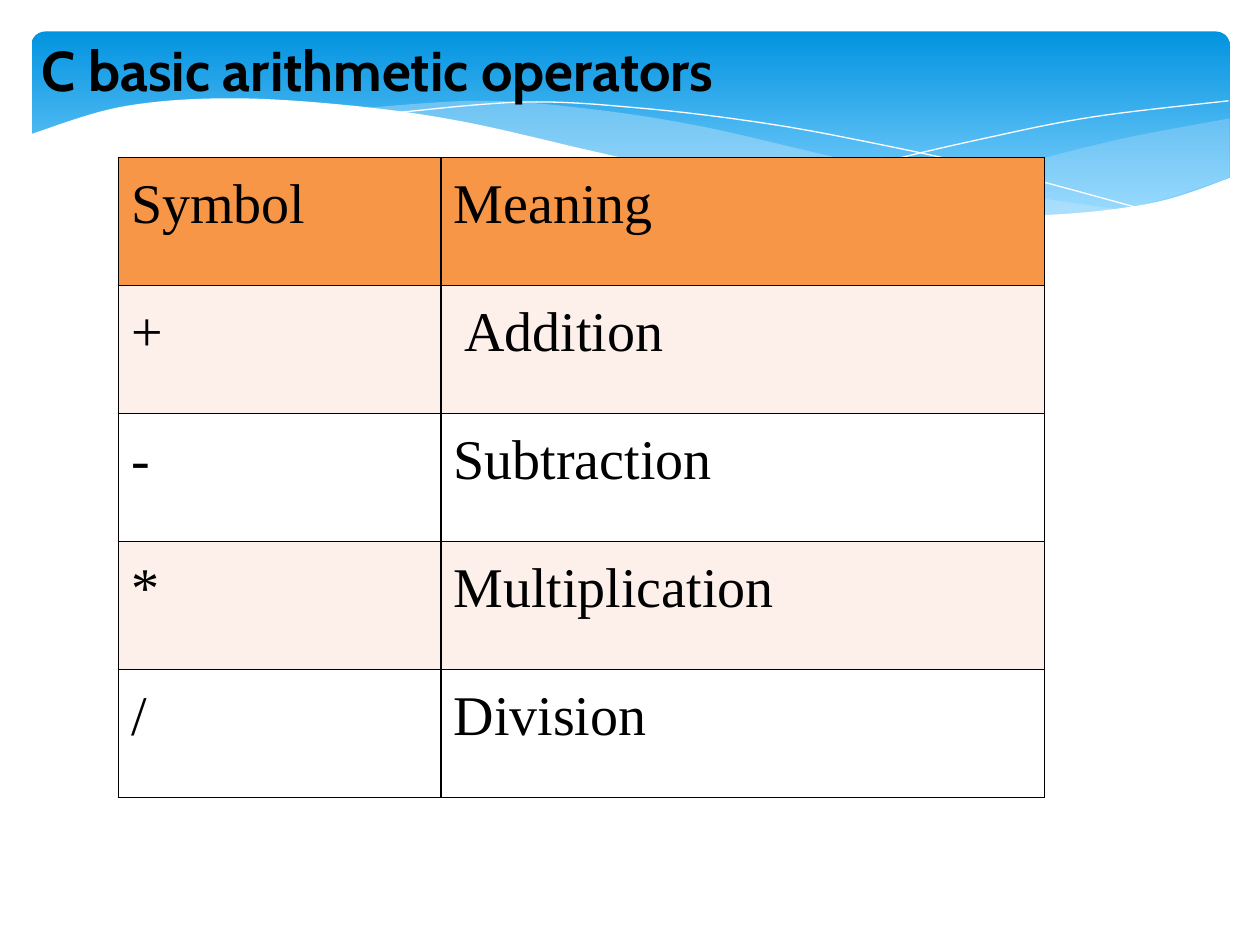
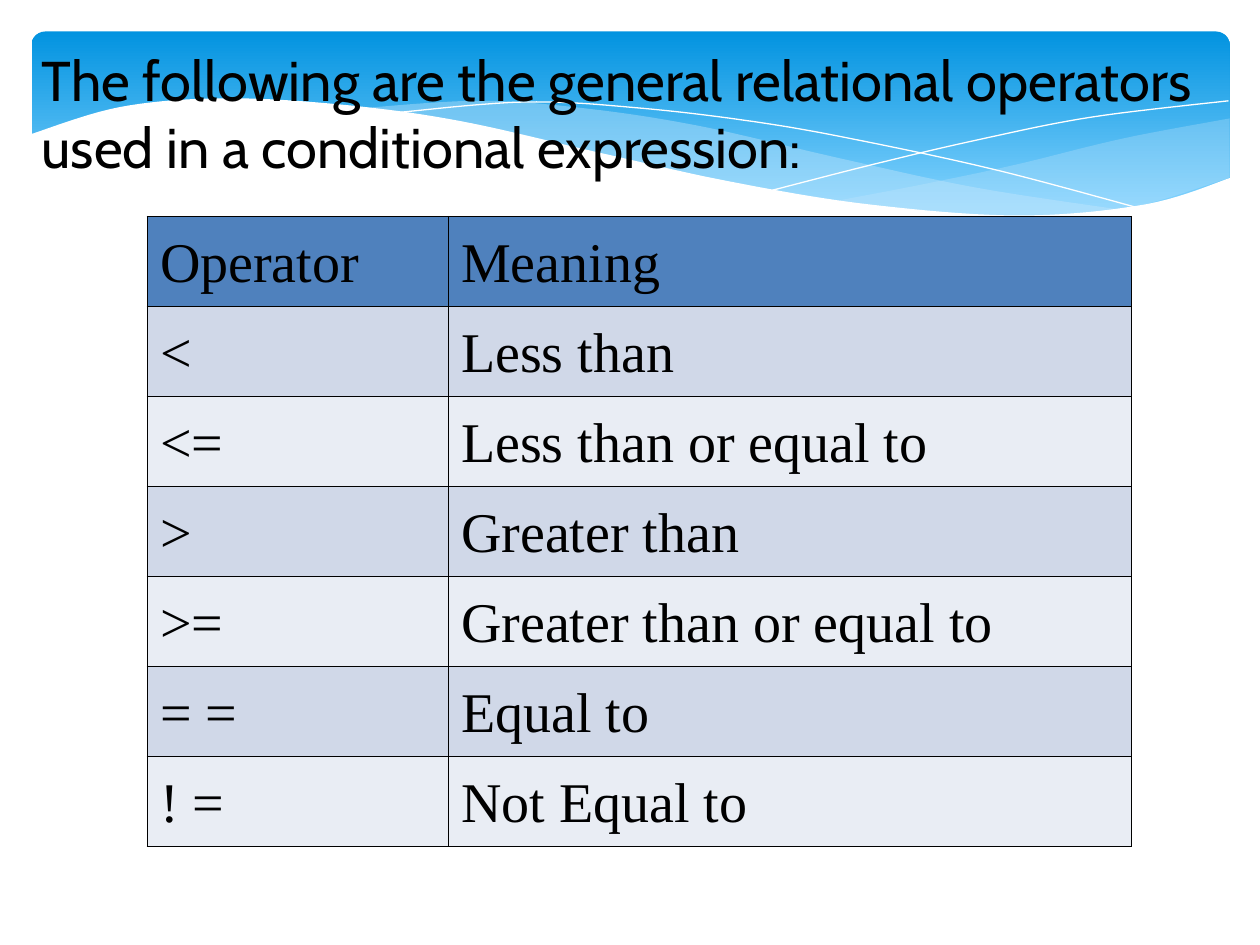
from lxml import etree
from pptx import Presentation
from pptx.dml.color import RGBColor
from pptx.enum import shapes, text
from pptx.oxml import ns
from pptx.util import Inches, Pt

BLACK = RGBColor(0, 0, 0)
WHITE = RGBColor(255, 255, 255)
BAND_TOP = RGBColor(0x02, 0x93, 0xE0)
BAND_BOTTOM = RGBColor(0x83, 0xD3, 0xFE)
WAVE_BLUE = RGBColor(0xC6, 0xE7, 0xFC)
ORANGE = RGBColor(0xF7, 0x96, 0x46)
PEACH = RGBColor(0xFD, 0xEF, 0xE9)
STEEL = RGBColor(0x4F, 0x81, 0xBD)
STEEL_LIGHT = RGBColor(0xD0, 0xD8, 0xE8)
STEEL_PALE = RGBColor(0xE9, 0xED, 0xF4)

TITLE_FONT = "Cabin"
TABLE_FONT = "Times New Roman"
FONT_SIZE = Pt(32)
CURVE_STEPS = 10

SLIDES = [
    {
        "title": "C basic arithmetic operators",
        "title_box": (0.23, 0.23, 9.45, 0.64),
        "bold": True,
        "table_at": (0.94, 1.25),
        "columns": (2.56, 4.79),
        "height": 5.08,
        "space_after": 6,
        "header_fill": ORANGE,
        "row_fills": (PEACH, WHITE),
        "header": ("Symbol", "Meaning"),
        "operators": [
            ("+", " Addition"),
            ("-", "Subtraction"),
            ("*", "Multiplication"),
            ("/", "Division"),
        ],
    },
    {
        "title": "The following are the general relational operators "
                 "used in a conditional expression:",
        "title_box": (0.23, 0.31, 9.45, 1.18),
        "bold": False,
        "table_at": (1.17, 1.72),
        "columns": (2.39, 5.42),
        "height": 5,
        "space_after": 0,
        "header_fill": STEEL,
        "row_fills": (STEEL_LIGHT, STEEL_PALE),
        "header": ("Operator", "Meaning"),
        "operators": [
            ("<", "Less than"),
            ("<=", "Less than or equal to"),
            (">", "Greater than"),
            (">=", "Greater than or equal to"),
            ("= =", "Equal to"),
            ("! =", "Not Equal to"),
        ],
    },
]

RIGHT_CREST = [(9.76, 0.94), (8.91, 1.1), (8.05, 1.31), (7.29, 1.47), (6.61, 1.6)]
RIGHT_TROUGH = [(6.61, 1.6), (7.45, 1.69), (8.35, 1.72), (9.05, 1.63), (9.76, 1.41)]
MIDDLE_CREST = [(8.93, 1.67), (7.75, 1.49), (6.68, 1.26), (5.55, 1),
                (4.64, 0.86), (3.8, 0.8), (2.86, 0.86)]
MIDDLE_TROUGH = [(2.86, 0.86), (3.83, 1.01), (4.91, 1.26), (6.01, 1.5),
                 (6.95, 1.65), (7.96, 1.73), (8.93, 1.67)]
FALLING_LINE = [(3.09, 0.9), (4.16, 0.81), (5.1, 0.86), (6.08, 0.98),
                (6.95, 1.14), (7.95, 1.36), (9.07, 1.66)]
RISING_LINE = [(6.13, 1.51), (6.95, 1.3), (7.76, 1.11), (8.66, 0.93), (9.75, 0.8)]
WHITE_EDGE = [(9.77, 1.41), (9.1, 1.62), (8.09, 1.71), (6.88, 1.62), (5.79, 1.44),
              (4.75, 1.21), (3.65, 0.96), (2.71, 0.83), (1.77, 0.78),
              (0.95, 0.85), (0.23, 1.07)]
WHITE_BASE = [(0.23, 2.24), (9.77, 2.24)]


def curve_through(knots):
    before = [knots[0], *knots[:-2]]
    after = [*knots[2:], knots[-1]]
    points = [knots[0]]
    for neighbours in zip(before, knots, knots[1:], after):
        for step in range(1, CURVE_STEPS + 1):
            t = step / CURVE_STEPS
            weights = (
                (-t + 2 * t**2 - t**3) / 2,
                (2 - 5 * t**2 + 3 * t**3) / 2,
                (t + 4 * t**2 - 3 * t**3) / 2,
                (t**3 - t**2) / 2,
            )
            points.append(tuple(
                sum(weight * knot[axis] for weight, knot in zip(weights, neighbours))
                for axis in (0, 1)))
    return points


def add_path(slide, points, close):
    start, *others = [(Inches(x), Inches(y)) for x, y in points]
    builder = slide.shapes.build_freeform(*start)
    builder.add_line_segments(others, close=close)
    path = builder.convert_to_shape()
    path.shadow.inherit = False
    return path


def add_wave(slide, outline, color, opacity=100):
    wave = add_path(slide, outline, close=True)
    wave.line.fill.background()
    wave.fill.solid()
    wave.fill.fore_color.rgb = color
    fill_color = wave.element.spPr.find(".//" + ns.qn("a:srgbClr"))
    etree.SubElement(fill_color, ns.qn("a:alpha"), val=str(opacity * 1000))
    return wave


def add_hairline(slide, knots):
    hairline = add_path(slide, curve_through(knots), close=False)
    hairline.fill.background()
    hairline.line.color.rgb = WHITE
    hairline.line.width = 0
    return hairline


def add_band(slide):
    band = slide.shapes.add_shape(
        shapes.MSO_SHAPE.ROUNDED_RECTANGLE,
        Inches(0.25), Inches(0.25), Inches(9.51), Inches(1.56))
    band.adjustments[0] = 0.07
    band.shadow.inherit = False
    band.line.fill.background()
    band.fill.gradient()
    band.fill.gradient_angle = 270
    for stop, color, position in zip(
            band.fill.gradient_stops, (BAND_TOP, BAND_BOTTOM), (0, 0.9)):
        stop.color.rgb = color
        stop.position = position
    return band


def add_backdrop(slide):
    right_outline = curve_through(RIGHT_CREST) + curve_through(RIGHT_TROUGH)
    middle_outline = curve_through(MIDDLE_CREST) + curve_through(MIDDLE_TROUGH)
    return [
        add_band(slide),
        add_wave(slide, right_outline, WAVE_BLUE, opacity=29),
        add_wave(slide, middle_outline, WAVE_BLUE, opacity=40),
        add_hairline(slide, FALLING_LINE),
        add_hairline(slide, RISING_LINE),
        add_wave(slide, curve_through(WHITE_EDGE) + WHITE_BASE, WHITE),
    ]


def move_to_layout(parts, layout):
    for index, shape in enumerate(parts, start=2):
        layout.shapes.element.insert(index, shape.element)


def format_text(paragraph, font_name, bold=False):
    for run in paragraph.runs:
        run.font.name = font_name
        run.font.size = FONT_SIZE
        run.font.bold = bold
        run.font.color.rgb = BLACK


def set_title(slide, content):
    title = slide.shapes.title
    title.left, title.top, title.width, title.height = map(Inches, content["title_box"])
    frame = title.text_frame
    frame.text = content["title"]
    frame.word_wrap = True
    frame.auto_size = text.MSO_AUTO_SIZE.SHAPE_TO_FIT_TEXT
    frame.vertical_anchor = text.MSO_ANCHOR.TOP
    frame.paragraphs[0].alignment = text.PP_ALIGN.LEFT
    format_text(frame.paragraphs[0], TITLE_FONT, content["bold"])


def add_borders(cell):
    properties = cell._tc.get_or_add_tcPr()
    for index, side in enumerate(("lnL", "lnR", "lnT", "lnB")):
        border = etree.Element(ns.qn("a:" + side), w=str(Pt(1)))
        fill = etree.SubElement(border, ns.qn("a:solidFill"))
        etree.SubElement(fill, ns.qn("a:srgbClr"), val=str(BLACK))
        properties.insert(index, border)


def fill_cell(cell, wording, color, space_after):
    cell.fill.solid()
    cell.fill.fore_color.rgb = color
    add_borders(cell)
    cell.text_frame.text = wording
    paragraph = cell.text_frame.paragraphs[0]
    paragraph.alignment = text.PP_ALIGN.JUSTIFY
    paragraph.line_spacing = 1.15
    paragraph.space_after = Pt(space_after)
    format_text(paragraph, TABLE_FONT)


def add_operator_table(slide, content):
    rows = [content["header"], *content["operators"]]
    row_fills = [content["header_fill"]]
    row_fills += [content["row_fills"][index % 2] for index in range(len(content["operators"]))]
    left, top = map(Inches, content["table_at"])
    table = slide.shapes.add_table(
        len(rows), len(content["columns"]), left, top,
        Inches(sum(content["columns"])), Inches(content["height"])).table
    table.horz_banding = False
    table.first_row = False
    for column, width in zip(table.columns, content["columns"]):
        column.width = Inches(width)
    for table_row, wordings, color in zip(table.rows, rows, row_fills):
        for cell, wording in zip(table_row.cells, wordings):
            fill_cell(cell, wording, color, content["space_after"])


def main():
    presentation = Presentation()
    presentation.slide_width = Inches(10)
    presentation.slide_height = Inches(7.5)
    layout = presentation.slide_layouts[5]
    slides = [presentation.slides.add_slide(layout) for _ in SLIDES]
    move_to_layout(add_backdrop(slides[0]), layout)
    for slide, content in zip(slides, SLIDES):
        set_title(slide, content)
        add_operator_table(slide, content)
    presentation.save("out.pptx")


if __name__ == "__main__":
    main()
